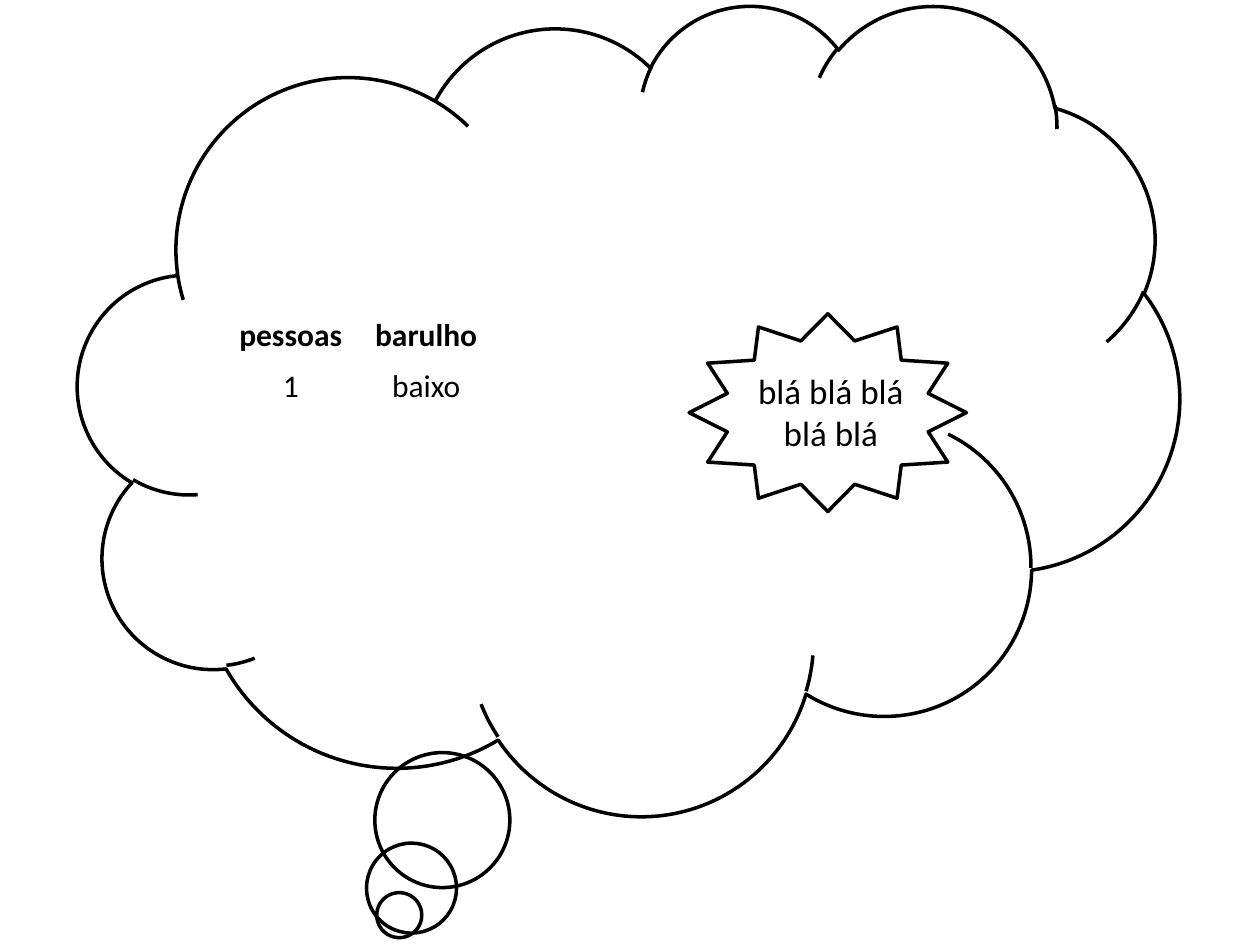
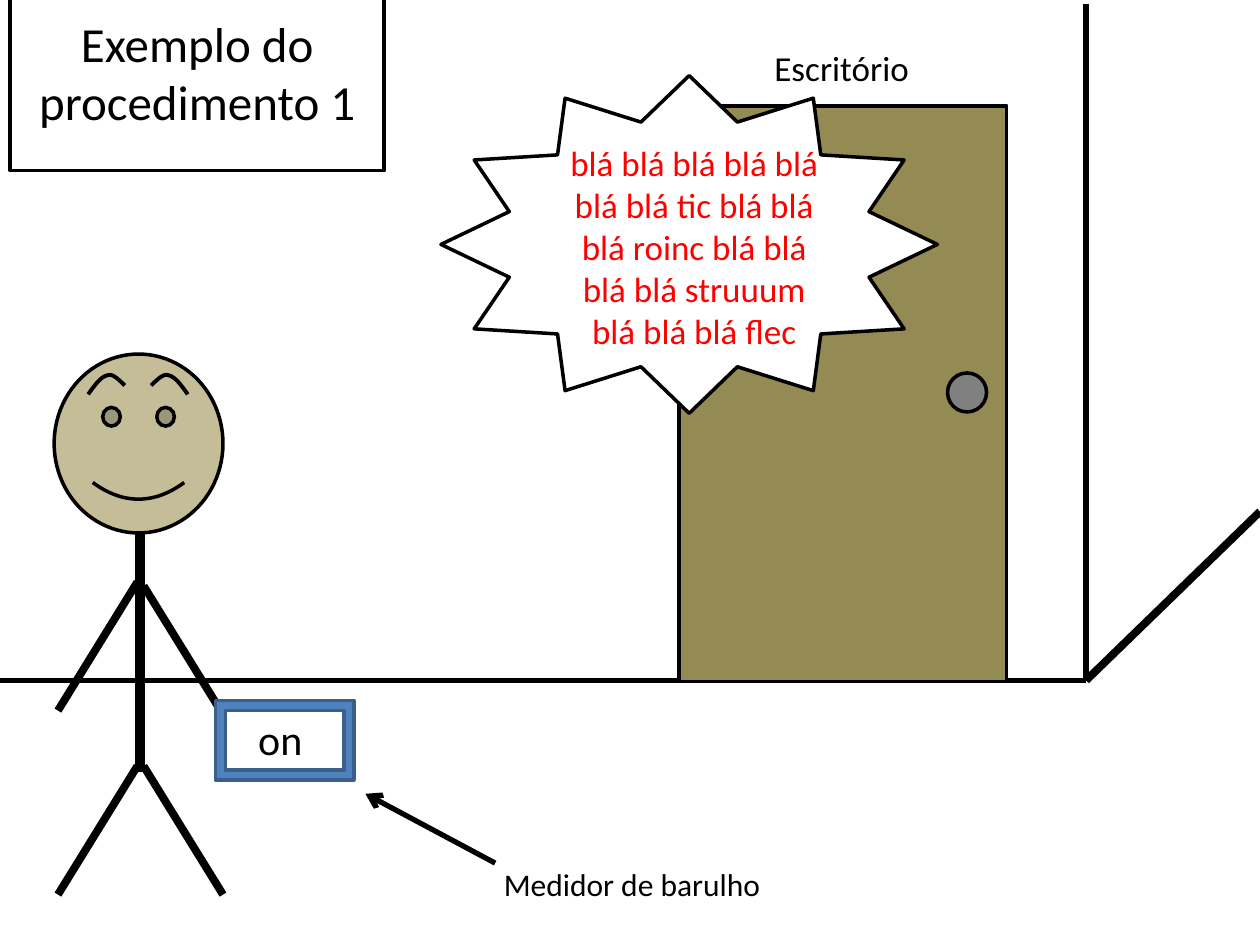
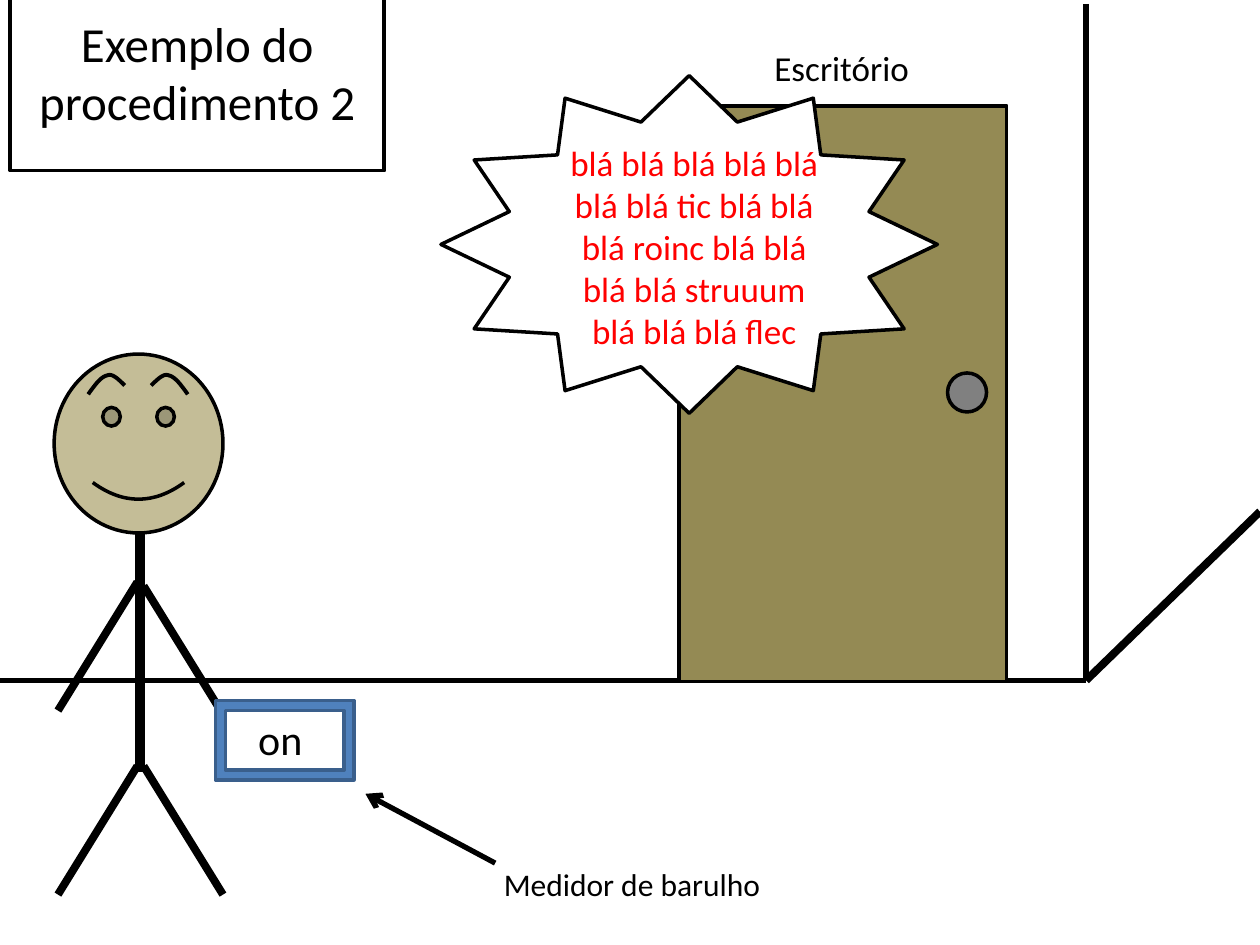
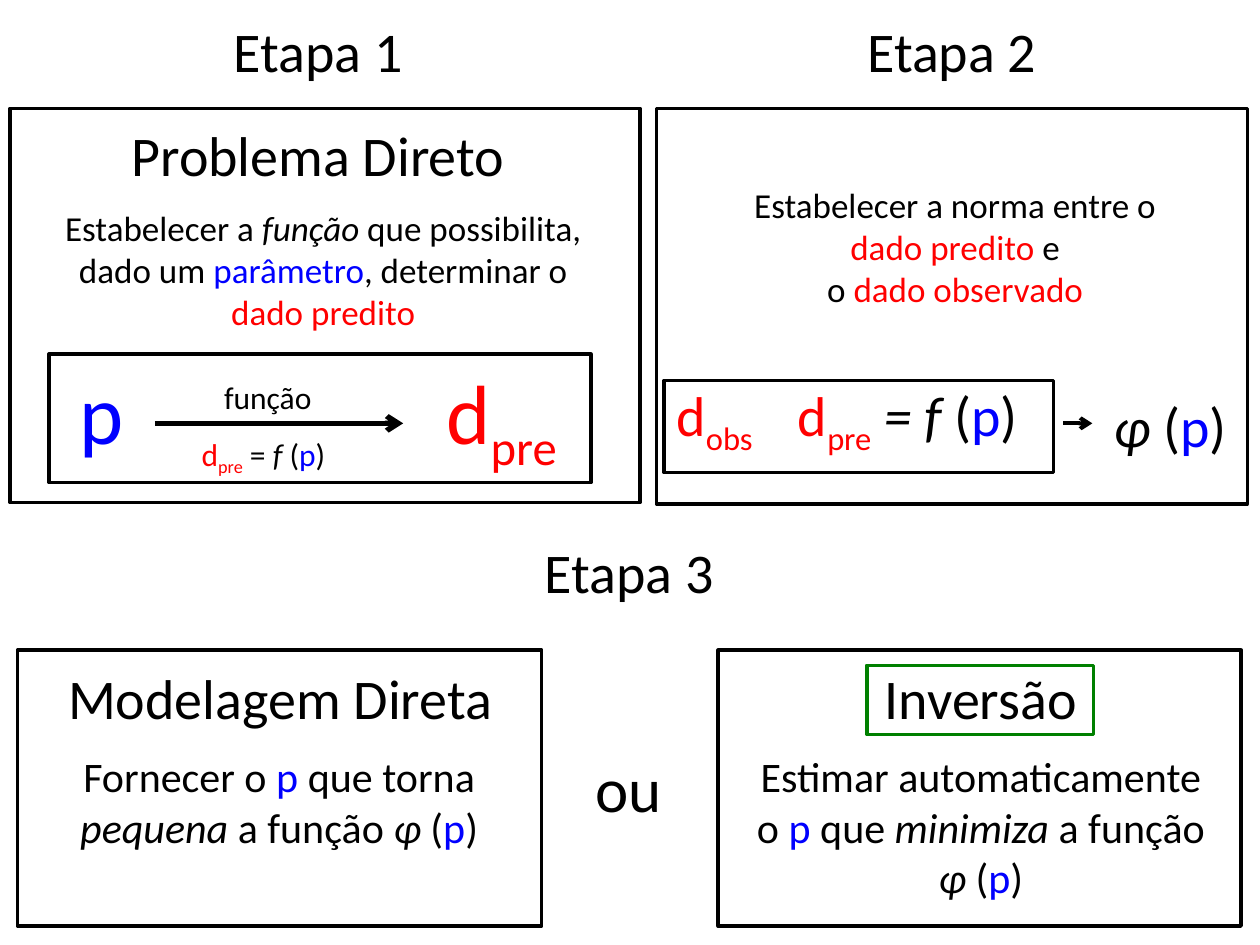
from lxml.etree import SubElement
from pptx import Presentation
from pptx.dml.color import RGBColor
from pptx.enum.shapes import MSO_CONNECTOR, MSO_SHAPE
from pptx.enum.text import MSO_AUTO_SIZE, PP_ALIGN
from pptx.oxml.ns import qn
from pptx.util import Inches, Pt

# Grid: 100 columns by 75 rows on a 10 x 7.5 inch slide
WIDTH, HEIGHT = Inches(10), Inches(7.5)
COLUMNS, ROWS = 100, 75
TITLE_ONLY, BLANK = 5, 6

FONT = "Calibri"
BLACK, WHITE, RED, BLUE = "000000", "FFFFFF", "FF0000", "0000FF"
GREEN, GREY, DOOR, SKIN = "008000", "808080", "948A54", "C4BD97"
METER, METER_EDGE = "4F81BD", "3A5F8C"

# Pieces of formula: text followed by its marks
P = ("p", "blue")
PHI_OF_P = [("φ ", "italic"), "(", P, ")"]
D = ("d", "red")
PRE = ("pre", "red sub")
MARK_COLORS = {"red": RED, "blue": BLUE}


def rgb(value):
    return RGBColor.from_string(value)


def col(n):
    return round(WIDTH * n / COLUMNS)


def row(n):
    return round(HEIGHT * n / ROWS)


def bezier(p0, p1, p2, p3, steps=12):
    """Points along a cubic curve, without its start."""
    for i in range(1, steps + 1):
        t = i / steps
        u = 1 - t
        yield tuple(u**3 * a + 3 * u * u * t * b + 3 * u * t * t * c + t**3 * d
                    for a, b, c, d in zip(p0, p1, p2, p3))


class Sketch:
    """Holds the shared style and the slide being drawn."""

    def __init__(self):
        self.deck = Presentation()
        self.deck.slide_width, self.deck.slide_height = WIDTH, HEIGHT
        self.slide = None

    def new_slide(self, layout=BLANK):
        self.slide = self.deck.slides.add_slide(self.deck.slide_layouts[layout])

    def place(self, box):
        left, top, width, height = box
        return col(left), row(top), col(width), row(height)

    def style_run(self, run, size, color=BLACK, marks=""):
        font = run.font
        font.name, font.size = FONT, Pt(size)
        font.bold, font.italic = "bold" in marks, "italic" in marks
        for mark in marks.split():
            color = MARK_COLORS.get(mark, color)
        font.color.rgb = rgb(color)
        if "sub" in marks:
            font._element.set("baseline", "-25000")

    def fill_text(self, frame, paragraphs, size, color=BLACK, align=PP_ALIGN.CENTER):
        """Each paragraph is a string or a list of strings and marked pieces."""
        for i, pieces in enumerate(paragraphs):
            paragraph = frame.add_paragraph() if i else frame.paragraphs[0]
            paragraph.alignment = align
            for piece in [pieces] if isinstance(pieces, str) else pieces:
                words, marks = (piece, "") if isinstance(piece, str) else piece
                run = paragraph.add_run()
                run.text = words
                self.style_run(run, size, color, marks)

    def outline(self, item, color, weight):
        item.line.color.rgb = rgb(color)
        item.line.width = Pt(weight)

    def shape(self, kind, box, fill=None, line=BLACK, weight=2):
        item = self.slide.shapes.add_shape(kind, *self.place(box))
        item.shadow.inherit = False
        if fill:
            item.fill.solid()
            item.fill.fore_color.rgb = rgb(fill)
        else:
            item.fill.background()
        self.outline(item, line, weight)

    def frame(self, box, line=BLACK):
        self.shape(MSO_SHAPE.RECTANGLE, box, line=line)

    def text(self, box, *paragraphs, size=20, color=BLACK,
             align=PP_ALIGN.CENTER, wrap=True):
        frame = self.slide.shapes.add_textbox(*self.place(box)).text_frame
        frame.word_wrap = wrap
        frame.auto_size = MSO_AUTO_SIZE.SHAPE_TO_FIT_TEXT
        self.fill_text(frame, paragraphs, size, color, align)

    def title(self, box, words):
        title = self.slide.shapes.title
        title.left, title.top, title.width, title.height = self.place(box)
        self.outline(title, BLACK, 2.25)
        frame = title.text_frame
        frame.word_wrap = True
        frame.auto_size = MSO_AUTO_SIZE.SHAPE_TO_FIT_TEXT
        self.fill_text(frame, [words], 28)

    def line(self, start, end, weight=3, arrow=False):
        item = self.slide.shapes.add_connector(
            MSO_CONNECTOR.STRAIGHT, col(start[0]), row(start[1]), col(end[0]), row(end[1]))
        self.outline(item, BLACK, weight)
        properties = item._element.spPr
        if arrow:
            SubElement(properties.find(qn("a:ln")), qn("a:tailEnd"), type="arrow")
        SubElement(properties, qn("a:effectLst"))

    def curve(self, points, weight=2.25):
        start, *rest = [(col(x), row(y)) for x, y in points]
        builder = self.slide.shapes.build_freeform(*start)
        builder.add_line_segments(rest, close=False)
        item = builder.convert_to_shape()
        item.shadow.inherit = False
        item.fill.background()
        self.outline(item, BLACK, weight)

    def table(self, box, rows):
        table = self.slide.shapes.add_table(len(rows), len(rows[0]), *self.place(box)).table
        table.first_row = table.horz_banding = False
        for r, values in enumerate(rows):
            for c, value in enumerate(values):
                cell = table.cell(r, c)
                cell.fill.solid()
                cell.fill.fore_color.rgb = rgb(WHITE)
                if value:
                    self.fill_text(cell.text_frame, [[(value, "" if r else "bold")]], 18)


def draw_thought(sketch):
    sketch.new_slide()
    sketch.shape(MSO_SHAPE.CLOUD_CALLOUT, (6.2, 0.3, 87.4, 64.3))
    sketch.table((17.7, 24.6, 21.5, 16),
                 [("pessoas", "barulho"), ("1", "baixo"), ("", ""), ("", "")])
    sketch.shape(MSO_SHAPE.STAR_12_POINT, (54.7, 24.9, 22, 15.7), WHITE)
    sketch.text((54.3, 28.8, 23.3, 7.7), "blá blá blá", "blá blá")


def draw_room(sketch):
    corner = (86.2, 54)
    sketch.line(corner, (100, 40.6), 4.5)
    sketch.line((86.2, 0.3), corner)
    sketch.line((0, 54), corner)
    # Door and knob
    sketch.shape(MSO_SHAPE.RECTANGLE, (53.9, 8.4, 26, 45.7), DOOR)
    sketch.shape(MSO_SHAPE.OVAL, (75.2, 29.6, 3.1, 3.1), GREY)
    sketch.text((55.4, 3.2, 22.8, 4.4), "Escritório")
    # Noise
    sketch.shape(MSO_SHAPE.STAR_12_POINT, (35, 6, 39.4, 26.8), WHITE)
    sketch.text((43.7, 10.7, 22.8, 17.8),
                "blá blá blá blá blá blá blá tic blá blá blá roinc blá blá "
                "blá blá struuum blá blá blá flec", color=RED)


def draw_person(sketch):
    # Trunk, then arms and legs
    sketch.line((11.1, 41.6), (11.1, 61.3), 6)
    for right_joint, left_joint in ((46.5, 46.2), (60.8, 60.8)):
        sketch.line((11.4, right_joint), (17.7, right_joint + 10.2), 4.5)
        sketch.line((10.9, left_joint), (4.6, left_joint + 10.2), 4.5)
    # Head and mirrored eyebrows
    sketch.shape(MSO_SHAPE.SMILEY_FACE, (4.3, 28.1, 13.4, 14.2), SKIN)
    inner, peak, outer = (12, 30.6), (13.4, 29.8), (14.9, 31.3)
    brow = [inner,
            *bezier(inner, (12.5, 30.1), (13, 29.6), peak),
            *bezier(peak, (13.9, 29.9), (14.4, 30.6), outer)]
    sketch.curve([(21.9 - x, y) for x, y in brow])
    sketch.curve(brow)


def draw_meter(sketch):
    sketch.shape(MSO_SHAPE.FRAME, (17.1, 55.6, 11, 6.3), METER, METER_EDGE)
    sketch.text((19.1, 56.1, 6.3, 5), "on", size=24)
    sketch.text((39, 68.2, 26, 4), "Medidor de barulho", size=18, align=PP_ALIGN.LEFT)
    sketch.line((39.3, 68.5), (29, 63), arrow=True)


def draw_procedure(sketch, number):
    sketch.new_slide(TITLE_ONLY)
    sketch.title((0.8, 0.5, 29.7, 10.4), f"Exemplo do procedimento {number}")
    draw_room(sketch)
    draw_person(sketch)
    draw_meter(sketch)


def draw_stages(sketch):
    sketch.new_slide()
    # Headings
    for words, left, top in (("Etapa 1", 4.4, 0.8), ("Etapa 2", 54.7, 0.8),
                             ("Etapa 3", 29.1, 42.2), ("Problema Direto", 4.4, 9.1),
                             ("Modelagem Direta", 1.4, 52.2), ("Inversão", 57, 52.2)):
        sketch.text((left, top, 41.7, 6.4), words, size=32)
    # Panels and inner boxes
    for panel in ((0.8, 8.6, 50, 31.3), (52.1, 8.6, 46.9, 31.4),
                  (1.4, 51.6, 41.6, 21.9), (57, 51.6, 41.5, 21.9),
                  (3.9, 28.1, 43, 10.2), (52.7, 30.2, 30.9, 7.3)):
        sketch.frame(panel)
    sketch.frame((68.8, 52.8, 18, 5.5), GREEN)

    # Stage 1: direct problem
    sketch.text((2.2, 15.9, 46.9, 11.1),
                ["Estabelecer a ", ("função", "italic"), " que possibilita, dado um ",
                 ("parâmetro", "blue"), ", determinar o ", ("dado predito", "red")])
    sketch.text((5.3, 28.1, 5.5, 9.1), [P], size=48)
    sketch.text((32, 28.1, 16.5, 9.1), [D, ("pre ", "red sub")], size=48)
    sketch.text((15, 29.5, 12.5, 4), "função", size=18)
    sketch.line((12.3, 33.6), (32, 33.6), arrow=True)
    sketch.text((14.5, 34, 12.8, 4),
                [D, PRE, " = ", ("f ", "italic"), "(", P, ")"], size=18)

    # Stage 2: norm
    sketch.text((54.7, 14.1, 42.2, 11.1), "Estabelecer a norma entre o",
                [("dado predito ", "red"), "e"], ["o ", ("dado observado", "red")])
    sketch.text((52.3, 29.7, 9.4, 6.4), [D, ("obs ", "red sub")], size=32)
    sketch.text((60.9, 29.7, 23.3, 6.4),
                [D, PRE, (" = f", "italic"), " (", P, ") "], size=32)
    sketch.line((84.4, 33.6), (86.7, 33.6), 2.25, arrow=True)
    sketch.text((87.4, 30.6, 11.1, 6.4), PHI_OF_P, size=32,
                align=PP_ALIGN.LEFT, wrap=False)

    # Stage 3: direct modelling or inversion
    sketch.text((4.2, 59.1, 35.9, 9.1),
                ["Fornecer o ", P, " que torna ", ("pequena", "italic"),
                 " a função ", *PHI_OF_P], size=24)
    sketch.text((45.6, 59, 8.6, 7.1), "ou", size=36)
    sketch.text((58.3, 59.1, 39.1, 13.1),
                ["Estimar automaticamente o ", P, " que ", ("minimiza", "italic"),
                 " a função ", *PHI_OF_P], size=24)


def main():
    sketch = Sketch()
    draw_thought(sketch)
    for number in (1, 2):
        draw_procedure(sketch, number)
    draw_stages(sketch)
    sketch.deck.save("out.pptx")


if __name__ == "__main__":
    main()
